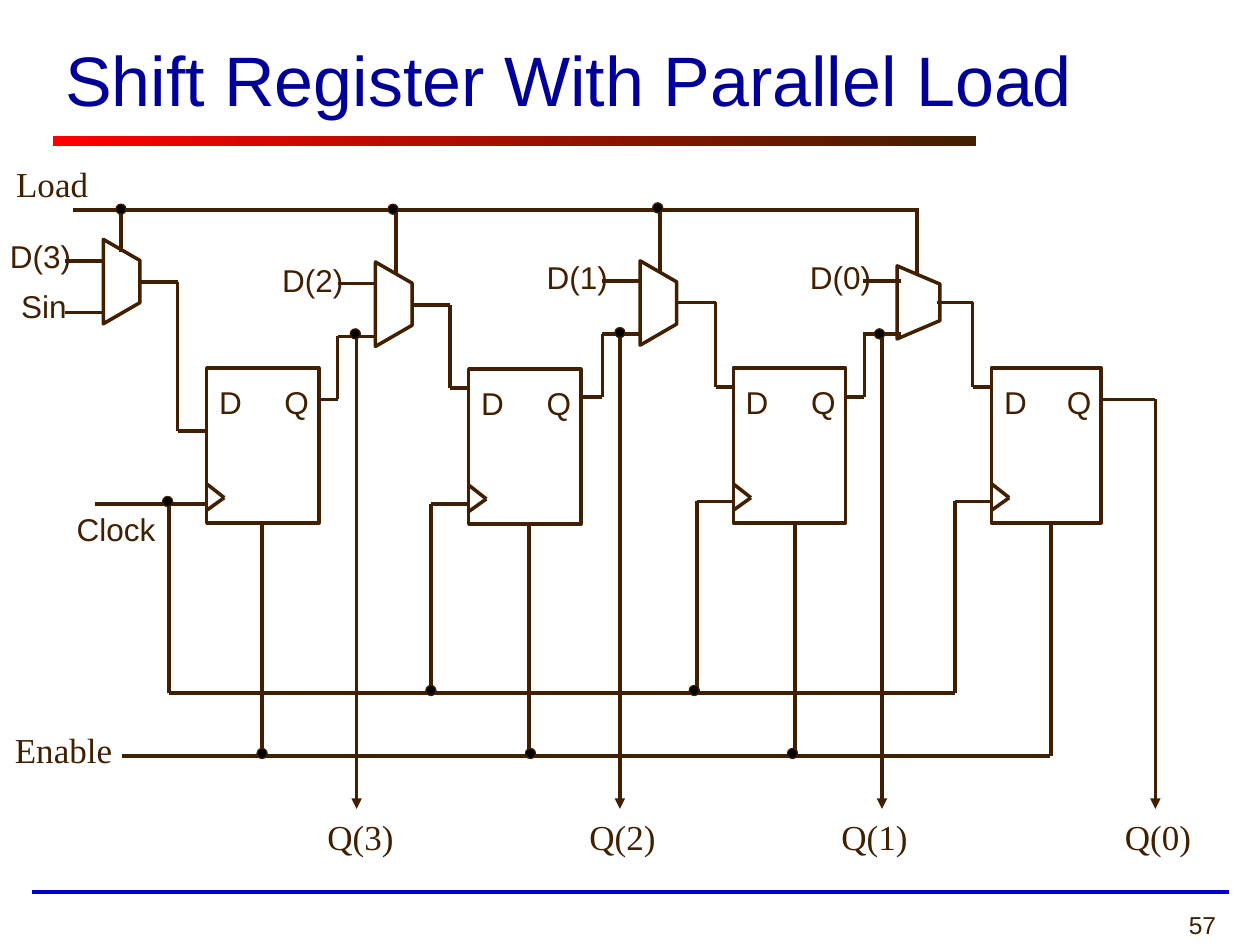
from itertools import pairwise

from lxml.etree import SubElement
from pptx import Presentation
from pptx.dml.color import RGBColor
from pptx.enum.shapes import MSO_CONNECTOR, MSO_SHAPE
from pptx.enum.text import MSO_ANCHOR, PP_ALIGN
from pptx.oxml.ns import qn
from pptx.util import Inches, Pt

COLORS = {
    "ink": "402000",
    "title": "000099",
    "rule": "0000CC",
    "red": "FF0000",
    "dot": "000000",
}

presentation = Presentation()
presentation.slide_width = Inches(10)
presentation.slide_height = Inches(7.5)
slide = presentation.slides.add_slide(presentation.slide_layouts[6])
shapes = slide.shapes


def add_text(text, left, top, width, height, size=18, font="Arial", color="ink",
             align=PP_ALIGN.LEFT, anchor=MSO_ANCHOR.TOP, wrap=False):
    box = shapes.add_textbox(Inches(left), Inches(top), Inches(width), Inches(height))
    frame = box.text_frame
    frame.word_wrap = wrap
    frame.vertical_anchor = anchor
    paragraph = frame.paragraphs[0]
    paragraph.alignment = align
    run = paragraph.add_run()
    run.text = text
    run.font.size = Pt(size)
    run.font.name = font
    run.font.color.rgb = RGBColor.from_string(COLORS[color])


def add_wire(*points, weight=2, color="ink", arrow=False):
    for start, end in pairwise(points):
        connector = shapes.add_connector(
            MSO_CONNECTOR.STRAIGHT, *(Inches(value) for value in start + end))
        connector.line.width = Pt(weight)
        connector.line.color.rgb = RGBColor.from_string(COLORS[color])
        properties = connector._element.spPr
        if arrow:
            SubElement(properties.find(qn("a:ln")), qn("a:tailEnd"), type="triangle")
        SubElement(properties, qn("a:effectLst"))


add_wire((0.25, 7.08), (9.75, 7.08), weight=2.25, color="rule")
title_bar = shapes.add_shape(
    MSO_SHAPE.RECTANGLE, Inches(0.42), Inches(1.08), Inches(7.33), Inches(0.08))
title_bar.shadow.inherit = False
title_bar.line.fill.background()
title_bar.fill.gradient()
title_bar.fill.gradient_angle = 0
for stop, name in zip(title_bar.fill.gradient_stops, ("red", "ink")):
    stop.color.rgb = RGBColor.from_string(COLORS[name])
add_text("57", 7.58, 7.17, 2.17, 0.33, size=14, align=PP_ALIGN.RIGHT, wrap=True)
add_text("Shift Register With Parallel Load", 0.42, 0, 9.17, 1.25, size=40,
         color="title", anchor=MSO_ANCHOR.MIDDLE, wrap=True)

multiplexers = [
    (0.82, 1.9, 0.29, 0.67),
    (2.98, 2.08, 0.29, 0.67),
    (5.08, 2.07, 0.29, 0.67),
    (7.12, 2.11, 0.34, 0.58),
]
for left, top, width, height in multiplexers:
    right, bottom, slant = left + width, top + height, height / 4
    builder = shapes.build_freeform(Inches(left), Inches(bottom), scale=1.0)
    builder.add_line_segments([
        (Inches(right), Inches(bottom - slant)),
        (Inches(right), Inches(top + slant)),
        (Inches(left), Inches(top)),
    ], close=True)
    multiplexer = builder.convert_to_shape()
    multiplexer.shadow.inherit = False
    multiplexer.fill.background()
    multiplexer.line.width = Pt(2)
    multiplexer.line.color.rgb = RGBColor.from_string(COLORS["ink"])

flip_flops = [
    (1.64, 2.92, 0.89), (3.72, 2.93, 0.89), (5.82, 2.92, 0.89), (7.87, 2.92, 0.87)]
for left, top, width in flip_flops:
    flip_flop = shapes.add_shape(
        MSO_SHAPE.RECTANGLE, Inches(left), Inches(top), Inches(width), Inches(1.23))
    flip_flop.shadow.inherit = False
    flip_flop.fill.background()
    flip_flop.line.width = Pt(2)
    flip_flop.line.color.rgb = RGBColor.from_string(COLORS["ink"])
    add_text("D", left, top + 0.07, 0.38, 0.4)
    add_text("Q", left + width - 0.37, top + 0.07, 0.4, 0.4)
    add_wire((left, top + 0.92), (left + 0.14, top + 1.03), (left, top + 1.13))

data_wires = [
    (0.82, 2.07, 2.48, 1.41, 3.42, 1.64),
    (2.98, 2.25, 2.67, 3.57, 3.08, 3.72),
    (5.08, 2.23, 2.65, 5.68, 3.07, 5.82),
    (7.15, 2.23, 2.65, 7.72, 3.07, 7.87),
]
for mux_left, load_y, shift_y, drop_x, data_y, data_x in data_wires:
    output_y = load_y + 0.17
    add_wire((mux_left - 0.3, load_y), (mux_left, load_y))
    add_wire((mux_left - 0.3, shift_y), (mux_left, shift_y))
    add_wire((mux_left + 0.29, output_y), (drop_x, output_y),
             (drop_x, data_y), (data_x, data_y))

for output_x, feedback_x, shift_y in [
        (2.53, 2.68, 2.67), (4.63, 4.78, 2.65), (6.71, 6.86, 2.65)]:
    add_wire((output_x, shift_y + 0.5), (feedback_x, shift_y + 0.5), (feedback_x, shift_y))

for clock_x, input_x, clock_y in [
        (1.34, 1.64, 4), (3.42, 3.72, 4), (5.53, 5.82, 3.98), (7.58, 7.87, 3.98)]:
    add_wire((clock_x, 5.5), (clock_x, clock_y), (input_x, clock_y))
for enable_x in (2.08, 4.2, 6.31, 8.34):
    add_wire((enable_x, 4.15), (enable_x, 6), weight=2.25)
for select_x, select_end in [(0.96, 2), (3.14, 2.17), (5.24, 2.17), (7.28, 2.18)]:
    add_wire((select_x, 1.67), (select_x, select_end), weight=2.25)

add_wire((0.58, 1.67), (7.29, 1.67), weight=2.25)
add_wire((0.75, 4), (1.33, 4), weight=2.25)
add_wire((1.34, 5.5), (7.58, 5.5))
add_wire((0.97, 6), (8.33, 6))
add_wire((8.75, 3.17), (9.17, 3.17))
for output_x, output_top in [(2.83, 2.67), (4.92, 2.67), (7, 2.67), (9.17, 3.17)]:
    add_wire((output_x, output_top), (output_x, 6.42), arrow=True)

for label, left, top, width in [
        ("D(3)", -0.02, 1.83, 0.69), ("D(2)", 2.14, 2.02, 0.69),
        ("D(1)", 4.24, 2, 0.69), ("D(0)", 6.33, 2, 0.69),
        ("Sin", 0.07, 2.23, 0.56), ("Clock", 0.51, 4, 0.83)]:
    add_text(label, left, top, width, 0.4)
for label, left, top, width in [
        ("Load", 0.03, 1.24, 0.77), ("Enable", 0.02, 5.73, 0.97),
        ("Q(3)", 2.5, 6.42, 0.73), ("Q(2)", 4.58, 6.42, 0.73),
        ("Q(1)", 6.58, 6.42, 0.73), ("Q(0)", 8.83, 6.42, 0.73)]:
    add_text(label, left, top, width, 0.43, size=20, font="Times New Roman")

junctions = [
    (2.04, 5.94), (4.17, 5.94), (6.25, 5.94), (3.38, 5.44), (5.47, 5.44),
    (0.92, 1.62), (3.08, 1.62), (5.18, 1.61),
    (2.78, 2.61), (4.88, 2.6), (6.94, 2.61), (1.29, 3.94),
]
for left, top in junctions:
    junction = shapes.add_shape(
        MSO_SHAPE.OVAL, Inches(left), Inches(top), Inches(0.08), Inches(0.08))
    junction.shadow.inherit = False
    junction.fill.solid()
    junction.fill.fore_color.rgb = RGBColor.from_string(COLORS["dot"])
    junction.line.width = Pt(0.75)
    junction.line.color.rgb = RGBColor.from_string(COLORS["ink"])

presentation.save("out.pptx")
